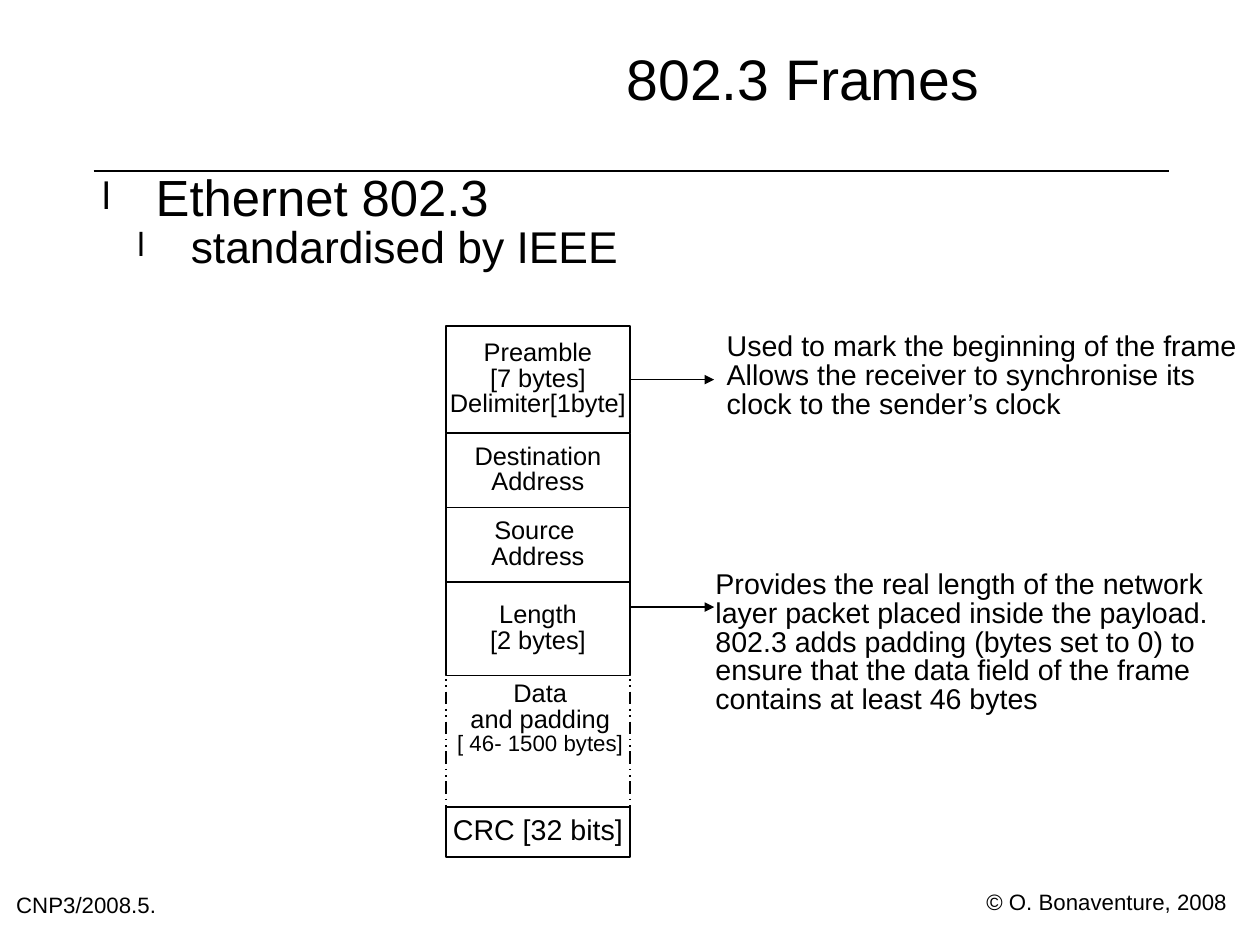
import lxml.etree
import pptx
import pptx.dml.color
import pptx.enum.dml
import pptx.enum.shapes
import pptx.enum.text
import pptx.oxml.ns
import pptx.util

Cm, Pt = pptx.util.Cm, pptx.util.Pt
qn = pptx.oxml.ns.qn
ALIGN = pptx.enum.text.PP_ALIGN
ANCHOR = pptx.enum.text.MSO_ANCHOR
BLACK = pptx.dml.color.RGBColor(0, 0, 0)

# Content
TITLE = "802.3 Frames"
BULLETS = [  # text, level, size, left margin in cm
    ("Ethernet 802.3", 0, 32, 1.4),
    ("standardised by IEEE", 1, 28, 2.18),
]
FIELDS = [  # name, lines, height in cm, size, outlined
    ("preamble", "Preamble\n[7 bytes]\nDelimiter[1byte]", 2.39, 16, True),
    ("destination", "Destination\nAddress", 1.65, 16, True),
    ("source", "Source \nAddress", 1.65, 16, True),
    ("length", "Length\n[2 bytes]", 2.08, 16, True),
    ("data", "Data\nand padding\n[ 46- 1500 bytes]", 2.92, 16, False),
    ("crc", "CRC [32 bits]", 1.12, 18, True),
]
TEXTS = [  # text, left, top, width, height in cm, size, wrap
    ("© O. Bonaventure, 2008", 21.92, 19.84, 5.36, 0.51, 14, False),
    ("CNP3/2008.5.", 0.36, 19.91, 4.27, 0.61, 14, True),
    ("Used to mark the beginning of the frame\n"
     "Allows the receiver to synchronise its\vclock to the sender’s clock",
     16.15, 7.42, 11.33, 1.93, 18, False),
    ("Provides the real length of the network layer packet placed inside the payload.\n"
     "802.3 adds padding (bytes set to 0) to ensure that the data field of the frame "
     "contains at least 46 bytes",
     15.9, 12.7, 12.09, 3.38, 18, True),
]

# Frame column geometry, in cm
COLUMN_LEFT, COLUMN_TOP, COLUMN_WIDTH = 9.91, 7.24, 4.09
COLUMN_RIGHT = COLUMN_LEFT + COLUMN_WIDTH
DASH_OVERLAP = 0.97
DATA_TEXT_OFFSET = 0.15
ARROW_LENGTH = 1.87
LENGTH_ARROW_TOP = 13.49


def format_text(text_frame, size, align=ALIGN.LEFT, anchor=ANCHOR.TOP, wrap=True):
    text_frame.margin_left = text_frame.margin_right = 0
    text_frame.margin_top = text_frame.margin_bottom = 0
    text_frame.auto_size = pptx.enum.text.MSO_AUTO_SIZE.NONE
    text_frame.word_wrap = wrap
    text_frame.vertical_anchor = anchor
    for paragraph in text_frame.paragraphs:
        paragraph.alignment = align
        paragraph.line_spacing = 0.84
        paragraph.space_before = Pt(0)
        for run in paragraph.runs:
            run.font.name = "Arial"
            run.font.size = Pt(size)
            run.font.color.rgb = BLACK


def place(shape, left, top, width, height):
    shape.left, shape.top = Cm(left), Cm(top)
    shape.width, shape.height = Cm(width), Cm(height)


def add_line(shapes, left, top, right, bottom, dash=None, arrow=False):
    line = shapes.add_connector(pptx.enum.shapes.MSO_CONNECTOR.STRAIGHT,
                                Cm(left), Cm(top), Cm(right), Cm(bottom))
    line.line.color.rgb = BLACK
    line.line.width = Pt(1)
    if dash:
        line.line.dash_style = dash
    properties = line._element.spPr
    if arrow:
        lxml.etree.SubElement(properties.find(qn("a:ln")), qn("a:tailEnd"), type="triangle")
    lxml.etree.SubElement(properties, qn("a:effectLst"))
    return line


def add_bullet(paragraph, margin):
    properties = paragraph._p.get_or_add_pPr()
    properties.set("marL", str(Cm(margin)))
    properties.set("indent", str(Cm(-1.19)))
    color = lxml.etree.SubElement(properties, qn("a:buClr"))
    lxml.etree.SubElement(color, qn("a:srgbClr"), val=str(BLACK))
    lxml.etree.SubElement(properties, qn("a:buSzPct"), val="75000")
    lxml.etree.SubElement(properties, qn("a:buFont"), typeface="Arial")
    lxml.etree.SubElement(properties, qn("a:buChar"), char="l")


def add_text(shapes, text, left, top, width, height, size, wrap, align=ALIGN.LEFT):
    box = shapes.add_textbox(Cm(left), Cm(top), Cm(width), Cm(height))
    box.text_frame.text = text
    format_text(box.text_frame, size, align, wrap=wrap)
    return box


def add_field(shapes, text, top, height, size):
    box = shapes.add_shape(pptx.enum.shapes.MSO_SHAPE.RECTANGLE,
                           Cm(COLUMN_LEFT), Cm(top), Cm(COLUMN_WIDTH), Cm(height))
    box.shadow.inherit = False
    box.fill.background()
    box.line.color.rgb = BLACK
    box.line.width = Pt(1)
    box.text_frame.text = text
    format_text(box.text_frame, size, ALIGN.CENTER, ANCHOR.MIDDLE)
    return box


def main():
    presentation = pptx.Presentation()
    presentation.slide_width, presentation.slide_height = Cm(28), Cm(21)
    slide = presentation.slides.add_slide(presentation.slide_layouts[1])
    shapes = slide.shapes

    # Title, rule and list
    title, body = shapes.title, slide.placeholders[1]
    place(title, 9.47, 0, 16.74, 3.71)
    title.text_frame.text = TITLE
    format_text(title.text_frame, 36, ALIGN.CENTER, ANCHOR.MIDDLE)
    add_line(shapes, 2.08, 3.8, 25.98, 3.8)

    place(body, 2.06, 3.91, 23.9, 17.07)
    body.text_frame.text = "\n".join(bullet[0] for bullet in BULLETS)
    format_text(body.text_frame, 32)
    for paragraph, (_, level, size, margin) in zip(body.text_frame.paragraphs, BULLETS):
        paragraph.level = level
        add_bullet(paragraph, margin)
        paragraph.runs[0].font.size = Pt(size)

    # Frame fields, stacked from the top
    boxes = {}
    top = COLUMN_TOP
    for name, text, height, size, outlined in FIELDS:
        if outlined:
            boxes[name] = add_field(shapes, text, top, height, size)
        else:
            box = add_text(shapes, text, COLUMN_LEFT + 0.05, top + DATA_TEXT_OFFSET,
                           COLUMN_WIDTH, 1.63, size, False, ALIGN.CENTER)
            box.text_frame.paragraphs[-1].runs[0].font.size = Pt(14)
            for side in (COLUMN_LEFT, COLUMN_RIGHT):
                add_line(shapes, side, top - DASH_OVERLAP, side, top + height,
                         dash=pptx.enum.dml.MSO_LINE.DASH_DOT_DOT)
        top += height

    # Notes, footers and arrows
    for text in TEXTS:
        add_text(shapes, *text)
    preamble_middle = COLUMN_TOP + FIELDS[0][2] / 2
    preamble_arrow, _ = [
        add_line(shapes, COLUMN_RIGHT, y, COLUMN_RIGHT + ARROW_LENGTH, y, arrow=True)
        for y in (preamble_middle, LENGTH_ARROW_TOP)
    ]
    preamble_arrow.begin_connect(boxes["preamble"], 3)

    presentation.save("out.pptx")


if __name__ == "__main__":
    main()
